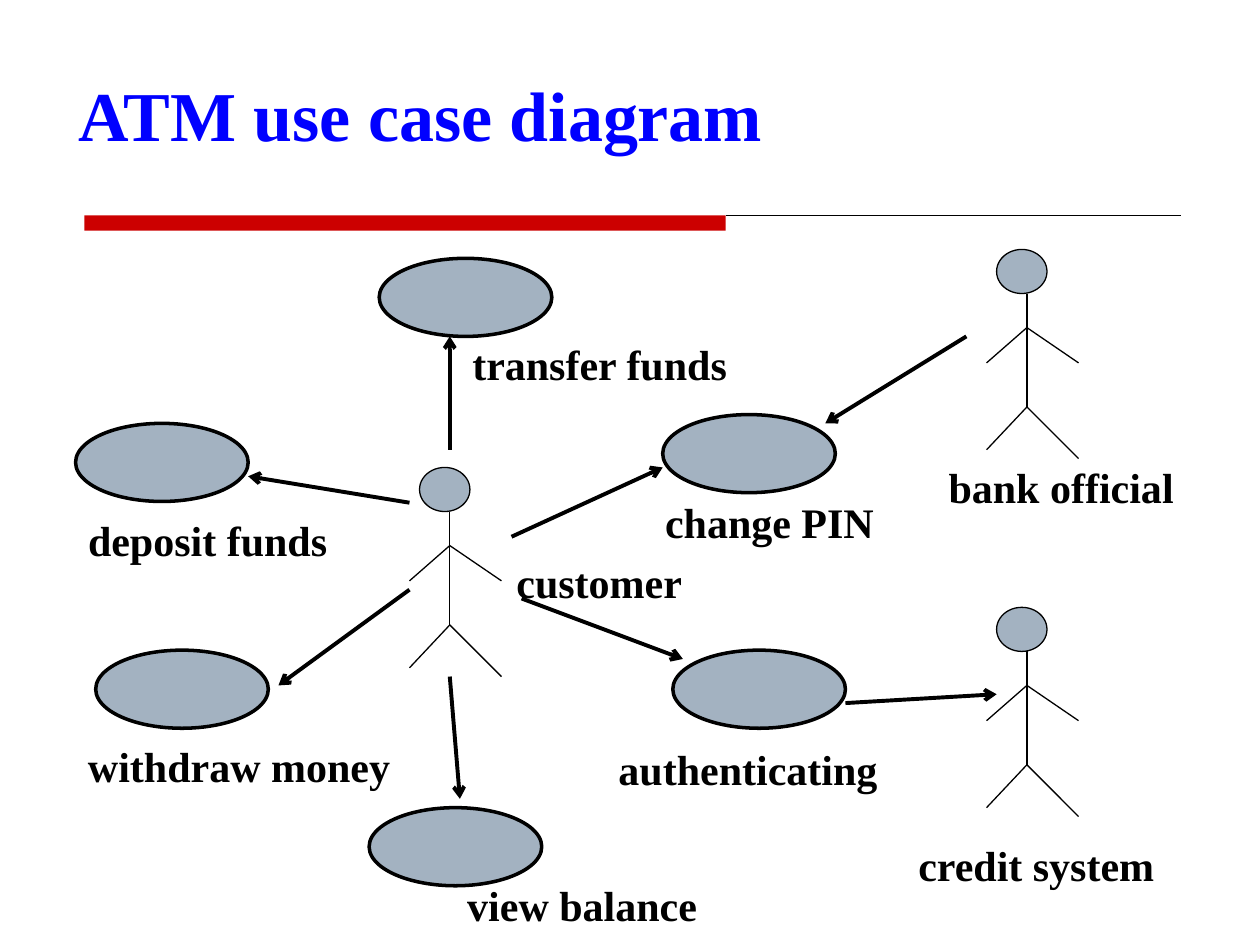
from pptx import Presentation
from pptx.dml.color import RGBColor
from pptx.enum.shapes import MSO_CONNECTOR, MSO_SHAPE
from pptx.enum.text import MSO_ANCHOR, PP_ALIGN
from pptx.oxml.ns import qn
from pptx.util import Inches, Pt
from lxml import etree

STRAIGHT = MSO_CONNECTOR.STRAIGHT
OVAL = MSO_SHAPE.OVAL
RECTANGLE = MSO_SHAPE.RECTANGLE
TOP = MSO_ANCHOR.TOP
LEFT = PP_ALIGN.LEFT
TITLE_ONLY = 5

COLORS = {"title": "0000FF", "ink": "000000", "oval": "A3B2C1", "band": "CC0000"}
FONTS = {
    "title": {"name": "Times New Roman", "size": Pt(40), "bold": True},
    "label": {"name": "Times New Roman", "size": Pt(24), "bold": True},
}

ACTORS = [
    ("customer", (3.33, 3.71), (4, 4.33, 1.61)),
    ("bank official", (7.91, 1.98), (7.43, 3.57, 2.17)),
    ("credit system", (7.91, 4.82), (7.19, 6.57, 2.33)),
]
USE_CASES = [
    ("transfer funds", (3.01, 2.05), (3.65, 2.6, 2.25)),
    ("change PIN", (5.26, 3.29), (5.18, 3.85, 2.09)),
    ("deposit funds", (0.6, 3.36), (0.6, 3.99, 2.25)),
    ("withdraw money", (0.76, 5.16), (0.6, 5.79, 2.73)),
    ("authenticating", (5.34, 5.16), (4.81, 5.81, 2.41)),
    ("view balance", (2.93, 6.41), (3.61, 6.89, 2.41)),
]
ASSOCIATIONS = [
    ((4.06, 4.26), (5.26, 3.71)),
    ((4.14, 4.75), (5.42, 5.23)),
    ((3.57, 3.57), (3.57, 2.67)),
    ((3.57, 5.37), (3.65, 6.34)),
    ((6.71, 5.58), (7.91, 5.51)),
    ((7.67, 2.67), (6.55, 3.36)),
    ((3.25, 4.68), (2.21, 5.44)),
    ((3.25, 3.99), (1.97, 3.78)),
]

NECK, SHOULDER, HIP = (0.24, 0.35), (0.24, 0.62), (0.24, 1.25)
BODY = [
    (NECK, HIP),
    (SHOULDER, (-0.08, 0.9)),
    (SHOULDER, (0.65, 0.9)),
    (HIP, (-0.08, 1.59)),
    (HIP, (0.65, 1.66)),
]


class Diagram:
    def __init__(self, slide):
        self.slide = slide
        self.shapes = slide.shapes

    def color(self, key):
        return RGBColor.from_string(COLORS[key])

    def set_text(self, frame, text, style, ink, margin_top):
        settings = {"word_wrap": True, "vertical_anchor": TOP, "margin_top": Inches(margin_top),
                    "margin_left": Inches(0.1), "margin_right": Inches(0.1)}
        for key, value in settings.items():
            setattr(frame, key, value)
        paragraph = frame.paragraphs[0]
        paragraph.alignment = LEFT
        run = paragraph.add_run()
        run.text = text
        for key, value in FONTS[style].items():
            setattr(run.font, key, value)
        run.font.color.rgb = self.color(ink)

    def title(self, text, left, top, width, height):
        heading = self.shapes.title
        bounds = {"left": left, "top": top, "width": width, "height": height}
        for key, value in bounds.items():
            setattr(heading, key, Inches(value))
        self.set_text(heading.text_frame, text, "title", "title", 0.12)

    def label(self, text, left, top, width):
        box = self.shapes.add_textbox(Inches(left), Inches(top), Inches(width), Inches(0.5))
        self.set_text(box.text_frame, text, "label", "ink", 0.09)

    def filled(self, kind, left, top, width, height, fill, weight=0):
        shape = self.shapes.add_shape(kind, Inches(left), Inches(top), Inches(width), Inches(height))
        shape.shadow.inherit = False
        shape.fill.solid()
        shape.fill.fore_color.rgb = self.color(fill)
        if weight:
            shape.line.color.rgb = self.color("ink")
            shape.line.width = Pt(weight)
        else:
            shape.line.fill.background()

    def line(self, start, end, weight=0.75, arrow=False):
        connector = self.shapes.add_connector(STRAIGHT, *map(Inches, (*start, *end)))
        connector.line.color.rgb = self.color("ink")
        connector.line.width = Pt(weight)
        properties = connector._element.spPr
        if arrow:
            etree.SubElement(properties.find(qn("a:ln")), qn("a:tailEnd"), type="arrow")
        etree.SubElement(properties, qn("a:effectLst"))

    def actor(self, left, top):
        self.filled(OVAL, left, top, 0.4, 0.35, "oval", 0.75)
        for start, end in BODY:
            self.line((left + start[0], top + start[1]), (left + end[0], top + end[1]))

    def use_case(self, left, top):
        self.filled(OVAL, left, top, 1.37, 0.62, "oval", 2)


def main():
    deck = Presentation()
    deck.slide_width, deck.slide_height = Inches(10), Inches(7.5)
    diagram = Diagram(deck.slides.add_slide(deck.slide_layouts[TITLE_ONLY]))

    diagram.filled(RECTANGLE, 0.67, 1.71, 5.09, 0.12, "band")
    diagram.line((5.76, 1.71), (9.37, 1.71))
    diagram.title("ATM use case diagram", 0.52, 0.45, 6.03, 0.77)

    for _, head, _ in ACTORS:
        diagram.actor(*head)
    for _, oval, _ in USE_CASES:
        diagram.use_case(*oval)
    for start, end in ASSOCIATIONS:
        diagram.line(start, end, 2.25, arrow=True)
    for name, _, place in ACTORS + USE_CASES:
        diagram.label(name, *place)

    deck.save("out.pptx")


if __name__ == "__main__":
    main()
